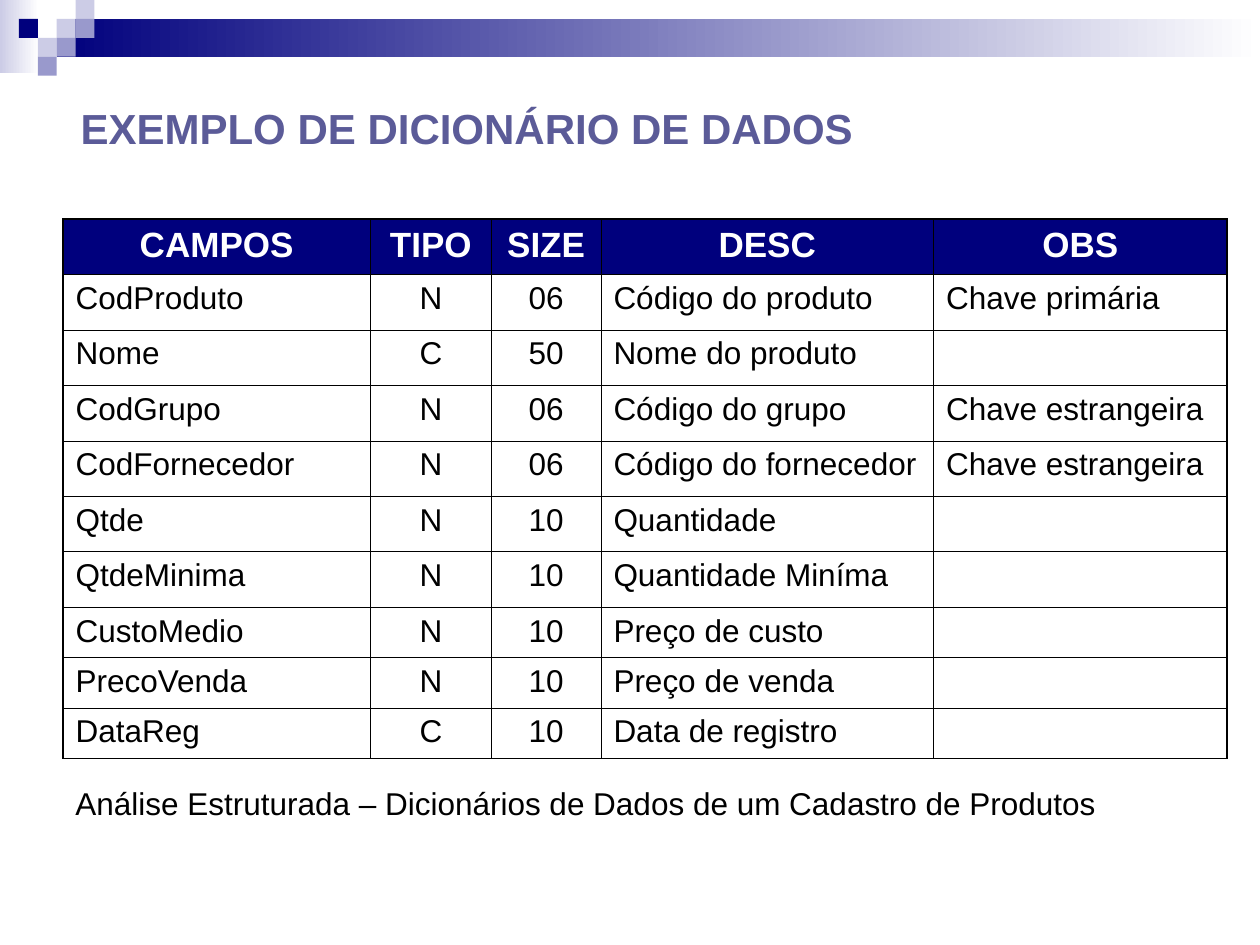
from lxml.etree import SubElement
from pptx import Presentation
from pptx.dml.color import RGBColor
from pptx.enum.shapes import MSO_SHAPE
from pptx.enum.text import MSO_ANCHOR, MSO_AUTO_SIZE, PP_ALIGN
from pptx.oxml.ns import qn
from pptx.util import Inches, Pt

NAVY = RGBColor(0x00, 0x00, 0x7D)
LAVENDER = RGBColor(0xCC, 0xCC, 0xE6)
PERIWINKLE = RGBColor(0x99, 0x99, 0xCC)
TITLE_COLOR = RGBColor(0x5B, 0x5B, 0x98)
WHITE = RGBColor(0xFF, 0xFF, 0xFF)
BLACK = RGBColor(0x00, 0x00, 0x00)

TILE = 0.15
TILES = [  # column, row, color
    (3, 1, LAVENDER), (4, 0, LAVENDER), (4, 1, PERIWINKLE), (2, 2, LAVENDER),
    (1, 1, NAVY), (3, 2, PERIWINKLE), (2, 3, PERIWINKLE),
]

COLUMN_WIDTHS = [2.44, 0.96, 0.87, 2.64, 2.33]
ROW_HEIGHTS = [0.44] * 7 + [0.4] * 3
CENTERED_COLUMNS = (1, 2)
FIELDS = [
    ("CAMPOS", "TIPO", "SIZE", "DESC", "OBS"),
    ("CodProduto", "N", "06", "Código do produto", "Chave primária"),
    ("Nome", "C", "50", "Nome do produto", ""),
    ("CodGrupo", "N", "06", "Código do grupo", "Chave estrangeira"),
    ("CodFornecedor", "N", "06", "Código do fornecedor", "Chave estrangeira"),
    ("Qtde", "N", "10", "Quantidade", ""),
    ("QtdeMinima", "N", "10", "Quantidade Miníma", ""),
    ("CustoMedio", "N", "10", "Preço de custo", ""),
    ("PrecoVenda", "N", "10", "Preço de venda", ""),
    ("DataReg", "C", "10", "Data de registro", ""),
]


class SlideBuilder:
    font_name = "Arial"
    outer_line = Pt(1.08)
    inner_line = Pt(0.45)

    def __init__(self, page):
        self.page = page

    def set_text(self, para, text, size, color=BLACK, bold=False, align=PP_ALIGN.LEFT):
        para.text = text
        para.alignment = align
        font = para.font
        font.name, font.size, font.bold = self.font_name, Pt(size), bold
        font.color.rgb = color

    def rectangle(self, left, top, width, height, color, fade_to=None):
        shape = self.page.shapes.add_shape(
            MSO_SHAPE.RECTANGLE, Inches(left), Inches(top), Inches(width), Inches(height))
        shape.shadow.inherit = False
        shape.line.fill.background()
        if fade_to is None:
            shape.fill.solid()
            shape.fill.fore_color.rgb = color
        else:
            shape.fill.gradient()
            shape.fill.gradient_angle = 0
            for stop, stop_color in zip(shape.fill.gradient_stops, (color, fade_to)):
                stop.color.rgb = stop_color

    def title(self, text, left, top, width, height):
        box = self.page.shapes.title
        box.left, box.top = Inches(left), Inches(top)
        box.width, box.height = Inches(width), Inches(height)
        frame = box.text_frame
        frame.auto_size = MSO_AUTO_SIZE.NONE
        frame.vertical_anchor = MSO_ANCHOR.MIDDLE
        self.set_text(frame.paragraphs[0], text, 24, TITLE_COLOR, bold=True)

    def caption(self, text, left, top, width, height):
        box = self.page.shapes.add_textbox(
            Inches(left), Inches(top), Inches(width), Inches(height))
        box.text_frame.word_wrap = True
        self.set_text(box.text_frame.paragraphs[0], text, 18)

    def border(self, cell, edges):
        """Draw the cell's sides; edges maps each side's tag to whether it is outer."""
        properties = cell._tc.get_or_add_tcPr()
        for position, (tag, is_outer) in enumerate(edges.items()):
            width = self.outer_line if is_outer else self.inner_line
            line = SubElement(properties, qn(f"a:{tag}"), w=str(int(width)))
            fill = SubElement(line, qn("a:solidFill"))
            SubElement(fill, qn("a:srgbClr"), val=str(BLACK))
            properties.insert(position, line)

    def table(self, rows, left, top, widths, heights):
        table = self.page.shapes.add_table(
            len(rows), len(widths), Inches(left), Inches(top),
            Inches(sum(widths)), Inches(sum(heights))).table
        table.horz_banding = False
        for column, width in zip(table.columns, widths):
            column.width = Inches(width)
        for row, height in zip(table.rows, heights):
            row.height = Inches(height)
        for r, values in enumerate(rows):
            for c, value in enumerate(values):
                cell = table.cell(r, c)
                is_header = r == 0
                centered = is_header or c in CENTERED_COLUMNS
                if is_header:
                    cell.fill.solid()
                    cell.fill.fore_color.rgb = NAVY
                else:
                    cell.fill.background()
                self.set_text(cell.text_frame.paragraphs[0], value,
                              20 if is_header else 18,
                              WHITE if is_header else BLACK, is_header,
                              PP_ALIGN.CENTER if centered else PP_ALIGN.LEFT)
                self.border(cell, {
                    "lnL": c == 0, "lnR": c == len(widths) - 1,
                    "lnT": is_header, "lnB": r == len(rows) - 1})


def main():
    deck = Presentation()
    deck.slide_width, deck.slide_height = Inches(10), Inches(7.5)
    builder = SlideBuilder(deck.slides.add_slide(deck.slide_layouts[5]))

    builder.rectangle(0, 0, 0.31, 0.58, LAVENDER, fade_to=WHITE)
    builder.rectangle(3 * TILE, TILE, 9.55, 2 * TILE, NAVY, fade_to=WHITE)
    for column, row, color in TILES:
        builder.rectangle(column * TILE, row * TILE, TILE, TILE, color)

    builder.title("EXEMPLO DE DICIONÁRIO DE DADOS", 0.54, 0.74, 9, 0.55)
    builder.caption("Análise Estruturada – Dicionários de Dados de um Cadastro de Produtos",
                    0.5, 6.17, 8.83, 1)
    builder.table(FIELDS, 0.5, 1.74, COLUMN_WIDTHS, ROW_HEIGHTS)
    deck.save("out.pptx")


if __name__ == "__main__":
    main()
